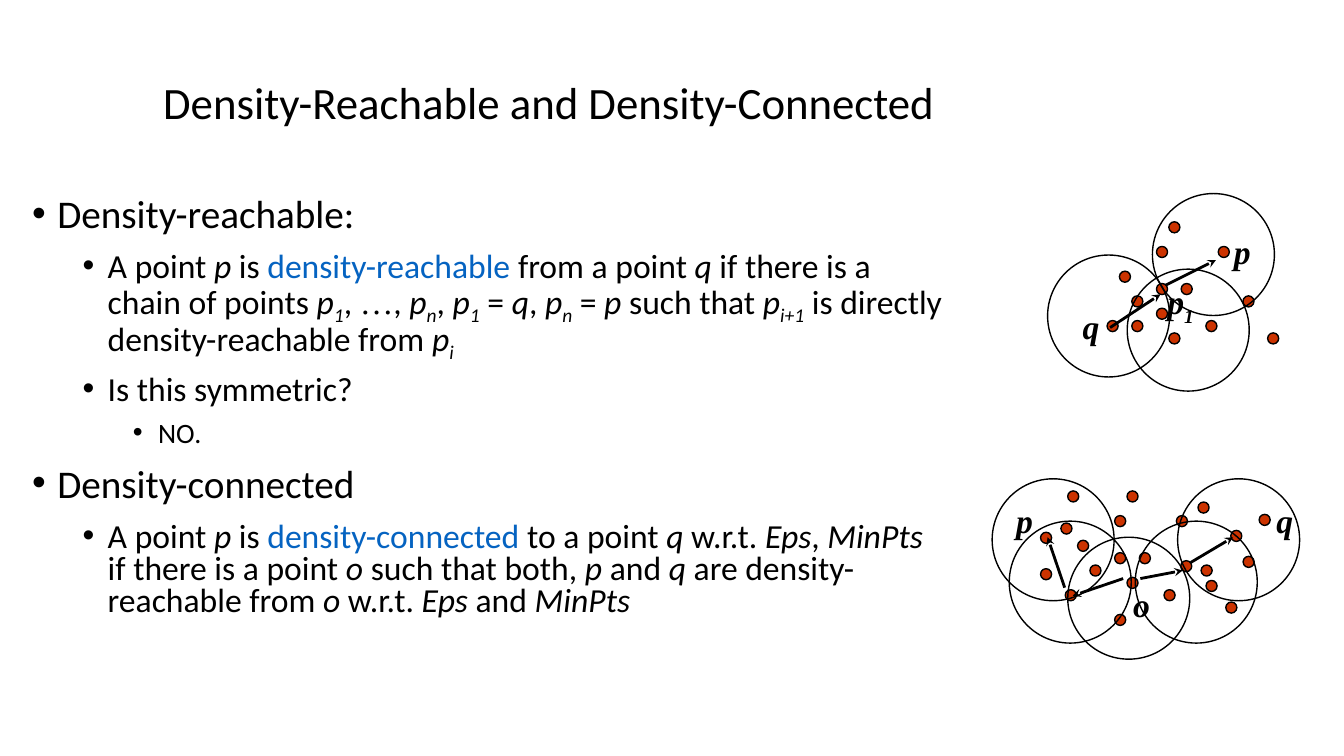
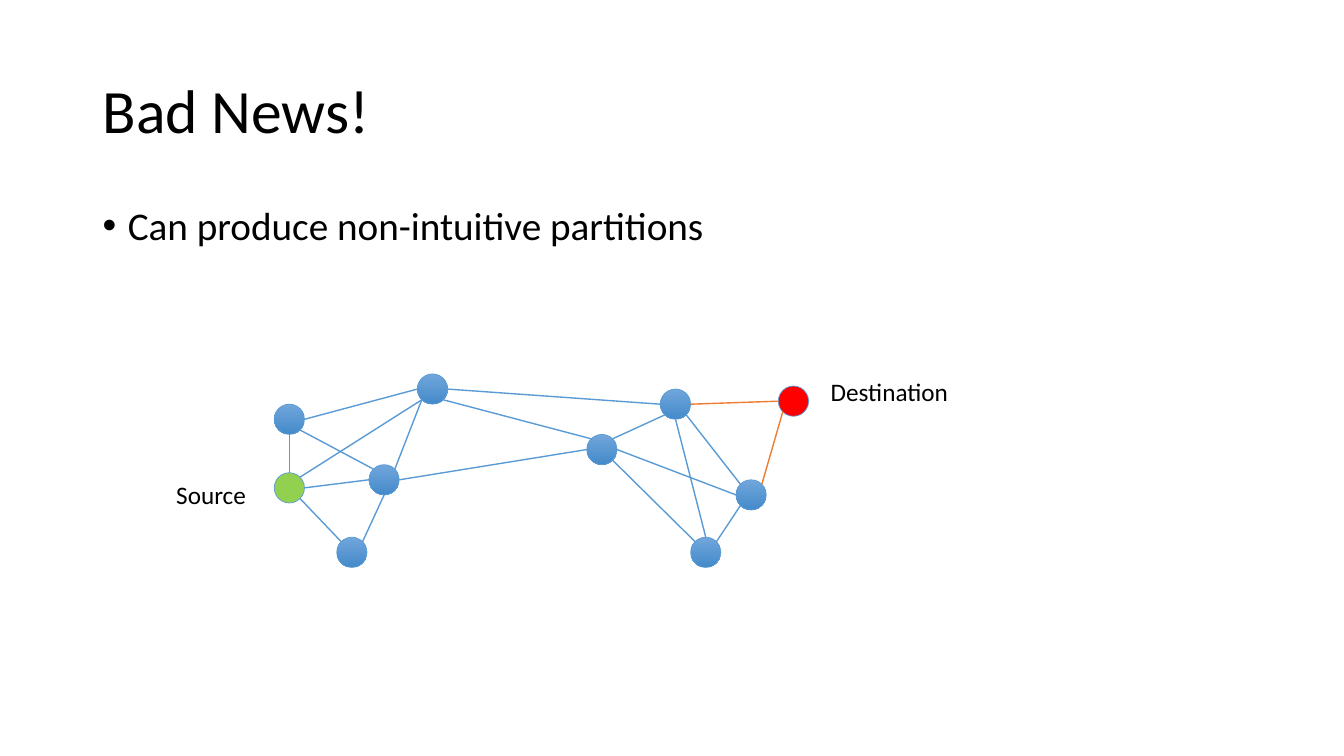
from pptx import Presentation
from pptx.dml.color import RGBColor
from pptx.enum.shapes import MSO_CONNECTOR, MSO_SHAPE
from pptx.enum.text import MSO_ANCHOR
from pptx.oxml.ns import qn
from pptx.util import Inches, Pt
from lxml import etree

OVAL = MSO_SHAPE.OVAL
LINE = MSO_CONNECTOR.STRAIGHT
MIDDLE = MSO_ANCHOR.MIDDLE
WIDE, HIGH = 13.33, 7.5
SANS, SERIF = "Calibri", "Times New Roman"
BLACK, BLUE, RED = "000000", "0563C1", "CC3300"
EDGE, ALERT = "5B9BD5", "ED7D31"
SHADE = ("71A6DB", "448ACA")
STEP = 0.49 / 4     # pitch of the grid the dots sit on
DOT, RING, NODE = 0.11, 1.21, 0.3

# A "|" splits runs; a first mark sets the style:
# * italic, _ subscript, # blue, ~ serif
REACH = [
    (0, "Density-reachable:"),
    (1, "A point |*p| is |#density-reachable| from a point |*q| if there is a "
        "chain of points |*p|_1|, |~…|, |*p|_n|, |*p|_1| = |*q|, |*p|_n| = |*p"
        "| such that |*p|_i+1| is directly density-reachable from |*p|_i"),
    (1, "Is this symmetric?"),
    (2, "NO."),
    (0, "Density-connected"),
    (1, "A point |*p| is |#density-connected| to a point |*q| w.r.t. |*Eps|, "
        "|*MinPts| if there is a point |*o |such that both, |*p| and |*q| are "
        "density-reachable from |*o| w.r.t. |*Eps| and |*MinPts"),
]
SIZES = (28, 24, 20)

# Each cluster: corner of its grid, dots in grid steps, rings and labels
# by left and top, arrows from start to tip
CHAIN = {
    "corner": (10.98, 2.2),
    "dots": [(1, 4), (4, 5), (4, 2), (0, 8), (2, 6), (2, 8), (5, 9), (5, 0),
             (11, 6), (9, 2), (4, 7), (6, 5), (8, 8), (13, 9)],
    "rings": [(11.18, 2.67), (10.39, 2.53), (11.43, 1.92)],
    "labels": [("*p", 12.14, 2.24), ("*q", 10.64, 2.99),
               ("*p|_1", 11.48, 2.74)],
    "arrows": [(11.56, 2.83, 12.06, 2.58), (11.01, 3.25, 11.51, 2.92)],
}
JOINED = {
    "corner": (10.32, 4.87),
    "dots": [(3, 4), (6, 5), (6, 2), (2, 8), (4, 6), (6, 10), (7, 7), (7, 0),
             (13, 6), (11, 2), (0, 6.3), (8, 5), (10, 8), (15, 9),
             (16.4, 5.3), (11.35, 5.65), (13.4, 7.25), (17.7, 1.9),
             (12.75, 0.9), (15.4, 3.2), (1.65, 2.6), (0, 3.35), (2.2, 0)],
    "rings": [(10.01, 5.17), (10.59, 5.33), (11.26, 5.17), (11.68, 4.75),
              (9.84, 4.75)],
    "labels": [("*p", 9.98, 4.91), ("*q", 12.56, 4.91), ("*o", 11.14, 5.74)],
    "arrows": [(11.14, 5.74, 10.64, 5.91), (11.31, 5.74, 11.73, 5.66),
               (10.56, 5.83, 10.39, 5.33), (11.81, 5.58, 12.23, 5.33)],
}

# Nodes by centre and fill; edges by node and compass side at both ends
NODES = {
    "a": (2.87, 4.16, SHADE), "source": (2.87, 4.84, "92D050"),
    "b": (4.29, 3.86, SHADE), "c": (3.81, 4.76, SHADE),
    "d": (3.49, 5.48, SHADE), "e": (5.97, 4.46, SHADE),
    "f": (6.7, 4.01, SHADE), "g": (7.45, 4.91, SHADE),
    "h": (7, 5.48, SHADE), "goal": (7.87, 3.98, "FF0000"),
}
EDGES = [
    ("a", "e", "b", "w"), ("b", "sw", "c", "ne"), ("c", "nw", "a", "se"),
    ("a", "s", "source", "n"), ("source", "se", "d", "nw"),
    ("c", "s", "d", "ne"), ("source", "e", "c", "w"),
    ("source", "ne", "b", "sw"), ("b", "e", "f", "w"), ("c", "e", "e", "w"),
    ("e", "nw", "b", "se"), ("e", "se", "h", "nw"), ("h", "ne", "g", "sw"),
    ("f", "se", "g", "nw"), ("e", "ne", "f", "sw"), ("f", "s", "h", "n"),
    ("e", "e", "g", "w"), ("f", "e", "goal", "w"), ("g", "ne", "goal", "sw"),
]


def color(code):
    return RGBColor.from_string(code)


def box(slide, left, top, width, height, wrap=True):
    """Add a text box and return its text frame."""
    frame = slide.shapes.add_textbox(
        Inches(left), Inches(top), Inches(width), Inches(height)).text_frame
    frame.word_wrap = wrap
    return frame


def write(para, text, size, face=SANS, bold=False):
    """Fill a paragraph with runs styled by their marks."""
    for part in text.split("|"):
        mark = part[0] if part[0] in "*_#~" else ""
        run = para.add_run()
        run.text = part[len(mark):]
        font = run.font
        font.size = Pt(size)
        font.name = SERIF if mark == "~" else face
        font.bold = bold
        font.italic = mark in ("*", "_")
        font.color.rgb = color(BLUE if mark == "#" else BLACK)
        if mark == "_":
            run._r.get_or_add_rPr().set("baseline", "-25000")


def title(slide, text, size, left, top, width, height):
    frame = box(slide, left, top, width, height)
    frame.vertical_anchor = MIDDLE
    para = frame.paragraphs[0]
    para.line_spacing = 0.9
    write(para, text, size)


def bullets(slide, items, spacing, *place):
    frame = box(slide, *place)
    for num, (level, text) in enumerate(items):
        para = frame.add_paragraph() if num else frame.paragraphs[0]
        props = para._p.get_or_add_pPr()
        props.set("marL", str(Inches(0.25 + level / 2)))
        props.set("indent", str(-Inches(0.25)))
        etree.SubElement(props, qn("a:buFont")).set("typeface", "Arial")
        etree.SubElement(props, qn("a:buChar")).set("char", "•")
        para.level = level
        para.line_spacing = spacing
        if num:
            para.space_before = Pt(SIZES[level] / 2)
        write(para, text, SIZES[level])


def oval(slide, left, top, size, fill=None, edge=BLACK, width=1):
    """Add a circle; a pair of colours as fill makes a gradient."""
    shape = slide.shapes.add_shape(
        OVAL, Inches(left), Inches(top), Inches(size), Inches(size))
    shape.shadow.inherit = False
    shape.line.color.rgb = color(edge)
    shape.line.width = Pt(width)
    if fill is None:
        shape.fill.background()
    elif isinstance(fill, str):
        shape.fill.solid()
        shape.fill.fore_color.rgb = color(fill)
    else:
        shape.fill.gradient()
        shape.fill.gradient_angle = 270
        for stop, code, spot in zip(shape.fill.gradient_stops, fill, (0, 1)):
            stop.color.rgb = color(code)
            stop.position = spot


def line(slide, ends, code, width, tip=False):
    link = slide.shapes.add_connector(LINE, *(Inches(num) for num in ends))
    link.line.color.rgb = color(code)
    link.line.width = Pt(width)
    if tip:
        etree.SubElement(link.line._get_or_add_ln(),
                         qn("a:tailEnd")).set("type", "stealth")
    etree.SubElement(link._element.spPr, qn("a:effectLst"))


def cluster(slide, data):
    left, top = data["corner"]
    for col, row in data["dots"]:
        oval(slide, left + col * STEP, top + row * STEP, DOT, RED)
    for x, y in data["rings"]:
        oval(slide, x, y, RING)
    for text, x, y in data["labels"]:
        frame = box(slide, x, y, 0.67 if "|" in text else 0.42, 0.51)
        write(frame.paragraphs[0], text, 24, SERIF, True)
    for ends in data["arrows"]:
        line(slide, ends, BLACK, 2, True)


def side(name, way):
    """Point on a node's rim in a compass direction."""
    x, y, _ = NODES[name]
    reach = NODE / 2 * (0.71 if len(way) == 2 else 1)
    return (x + reach * (("e" in way) - ("w" in way)),
            y + reach * (("s" in way) - ("n" in way)))


def graph(slide):
    for x, y, fill in NODES.values():
        oval(slide, x - NODE / 2, y - NODE / 2, NODE, fill, EDGE, 0.5)
    for start, out, end, into in EDGES:
        code = ALERT if end == "goal" else EDGE
        line(slide, side(start, out) + side(end, into), code, 1)
    for text, x, y, width in (("Source", 1.65, 4.71, 0.9),
                              ("Destination", 8.14, 3.68, 1.38)):
        write(box(slide, x, y, width, 0.4, False).paragraphs[0], text, 18)


def main():
    deck = Presentation()
    deck.slide_width, deck.slide_height = Inches(WIDE), Inches(HIGH)
    blank = deck.slide_layouts[6]

    slide = deck.slides.add_slide(blank)
    title(slide, "Density-Reachable and Density-Connected", 32,
          1.52, 0.58, 11.11, 0.92)
    bullets(slide, REACH, 0.8, 0.22, 1.92, 9.28, 5.17)
    cluster(slide, CHAIN)
    cluster(slide, JOINED)

    slide = deck.slides.add_slide(blank)
    title(slide, "Bad News!", 44, 0.92, 0.4, 11.5, 1.45)
    bullets(slide, [(0, "Can produce non-intuitive partitions")], 0.9,
            0.92, 2, 11.5, 4.76)
    graph(slide)

    deck.save("out.pptx")


if __name__ == "__main__":
    main()
